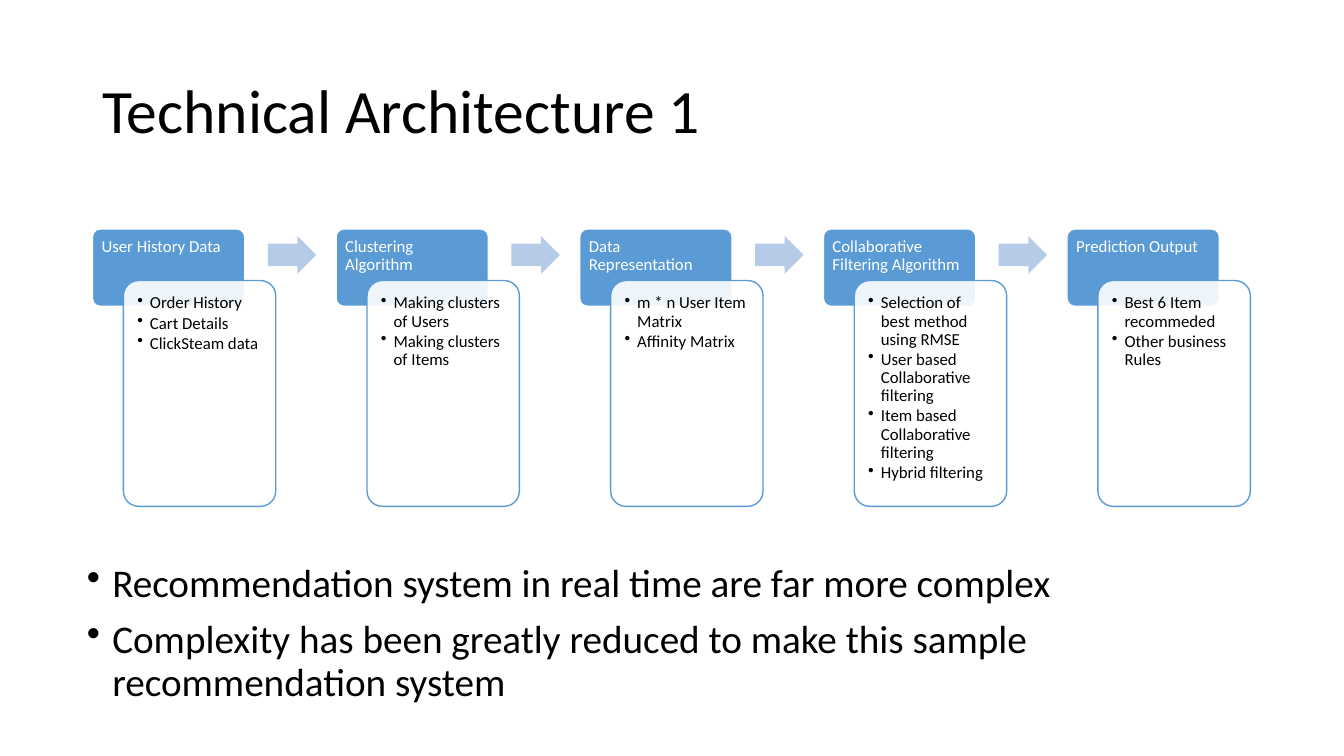
import dataclasses

import lxml.etree
import pptx
import pptx.dml.color
import pptx.enum.shapes
import pptx.enum.text
import pptx.oxml
import pptx.oxml.ns
import pptx.util

Cm = pptx.util.Cm
Pt = pptx.util.Pt
SHAPES = pptx.enum.shapes.MSO_SHAPE
ANCHORS = pptx.enum.text.MSO_ANCHOR


@dataclasses.dataclass(frozen=True)
class Theme:
    """Colours, font and type sizes of the slide."""
    font: str = "Calibri"
    ink: str = "000000"
    paper: str = "FFFFFF"
    accent: str = "5B9BD5"
    arrow: str = "B5CBE7"
    title_size: int = 44
    body_size: int = 28
    stage_size: int = 12


THEME = Theme()

STAGES = [
    ("User History Data", ["Order History", "Cart Details", "ClickSteam data"]),
    ("Clustering Algorithm", ["Making clusters of Users", "Making clusters of Items"]),
    ("Data Representation", ["m * n User Item Matrix", "Affinity Matrix"]),
    ("Collaborative Filtering Algorithm", [
        "Selection of best method using RMSE",
        "User based Collaborative filtering",
        "Item based Collaborative filtering",
        "Hybrid filtering",
    ]),
    ("Prediction Output", ["Best 6 Item recommeded", "Other business Rules"]),
]
REMARKS = [
    "Recommendation system in real time are far more complex",
    "Complexity has been greatly reduced to make this sample recommendation system",
]

# Stage geometry in centimetres
FLOW_LEFT, FLOW_TOP, STAGE_PITCH = 2.33, 5.77, 6.14
STAGE_WIDTH, HEADER_HEIGHT, HEADING_HEIGHT = 3.84, 1.95, 1.3
CARD_SHIFT, CARD_HEIGHT, CARD_MARGIN = 0.78, 5.69, 0.12
ARROW_SHIFT, ARROW_DROP, ARROW_WIDTH, ARROW_HEIGHT = 4.42, 0.18, 1.22, 0.95
STAGE_INSETS = (0.23, 0.23, 0.23, 0.13)


def rgb(code):
    """Turn a hex code into a colour."""
    return pptx.dml.color.RGBColor.from_string(code)


def add_bullet(para, indent):
    """Give a paragraph a round bullet with a hanging indent in centimetres."""
    properties = para._p.get_or_add_pPr()
    properties.set("marL", str(Cm(indent)))
    properties.set("indent", str(-Cm(indent)))
    bullet = lxml.etree.SubElement(properties, pptx.oxml.ns.qn("a:buChar"))
    bullet.set("char", "•")


def add_text(shapes, area, lines, size, color=THEME.ink, insets=(0.25, 0.13, 0.25, 0.13),
             anchor=ANCHORS.TOP, indent=None, before=0, after=0):
    """Add a text box with one paragraph per line, bulleted if indented."""
    box = shapes.add_textbox(*map(Cm, area))
    frame = box.text_frame
    frame.word_wrap = True
    frame.vertical_anchor = anchor
    (frame.margin_left, frame.margin_top,
     frame.margin_right, frame.margin_bottom) = map(Cm, insets)
    for index, line in enumerate(lines):
        para = frame.add_paragraph() if index else frame.paragraphs[0]
        para.line_spacing = 0.9
        para.space_before = Pt(before)
        para.space_after = Pt(after)
        if indent:
            add_bullet(para, indent)
        span = para.add_run()
        span.text = line
        span.font.name = THEME.font
        span.font.size = Pt(size)
        span.font.color.rgb = rgb(color)


def add_block(shapes, kind, area, adjustments, fill, line=None, opacity=100):
    """Add a filled preset shape, outlined only if a line colour is given."""
    block = shapes.add_shape(kind, *map(Cm, area))
    block.shadow.inherit = False
    for index, value in enumerate(adjustments):
        block.adjustments[index] = value
    block.fill.solid()
    block.fill.fore_color.rgb = rgb(fill)
    if opacity < 100:
        color = block._element.spPr.find(".//" + pptx.oxml.ns.qn("a:srgbClr"))
        alpha = lxml.etree.SubElement(color, pptx.oxml.ns.qn("a:alpha"))
        alpha.set("val", str(opacity * 1000))
    if line:
        block.line.color.rgb = rgb(line)
        block.line.width = Pt(1)
    else:
        block.line.fill.background()


def add_stage(shapes, left, heading, points):
    """Add a stage: a header with a card of bullet points overlapping it."""
    add_block(shapes, SHAPES.ROUNDED_RECTANGLE,
              (left, FLOW_TOP, STAGE_WIDTH, HEADER_HEIGHT),
              [0.1], THEME.accent, THEME.paper)
    add_text(shapes, (left, FLOW_TOP, STAGE_WIDTH, HEADING_HEIGHT), [heading],
             THEME.stage_size, THEME.paper, STAGE_INSETS)
    card_left, card_top = left + CARD_SHIFT, FLOW_TOP + HEADING_HEIGHT
    add_block(shapes, SHAPES.ROUNDED_RECTANGLE,
              (card_left, card_top, STAGE_WIDTH, CARD_HEIGHT),
              [0.1], THEME.paper, THEME.accent, opacity=90)
    add_text(shapes,
             (card_left + CARD_MARGIN, card_top + CARD_MARGIN,
              STAGE_WIDTH - 2 * CARD_MARGIN, CARD_HEIGHT - 2 * CARD_MARGIN),
             points, THEME.stage_size, insets=STAGE_INSETS, indent=0.32, after=1.5)


def add_flow(slide):
    """Add the row of stages joined by block arrows, as one group."""
    shapes = slide.shapes.add_group_shape().shapes
    for index, (heading, points) in enumerate(STAGES):
        left = FLOW_LEFT + index * STAGE_PITCH
        add_stage(shapes, left, heading, points)
        if index < len(STAGES) - 1:
            add_block(shapes, SHAPES.RIGHT_ARROW,
                      (left + ARROW_SHIFT, FLOW_TOP + ARROW_DROP, ARROW_WIDTH, ARROW_HEIGHT),
                      [0.6, 0.5], THEME.arrow)


def main():
    """Build the slide and save the deck."""
    deck = pptx.Presentation()
    deck.slide_width, deck.slide_height = Cm(33.87), Cm(19.05)
    page = deck.slides.add_slide(deck.slide_layouts[6])
    add_text(page.shapes, (2.33, 1.01, 29.21, 3.68), ["Technical Architecture 1"],
             THEME.title_size, anchor=ANCHORS.MIDDLE)
    add_flow(page)
    add_text(page.shapes, (1.94, 14.07, 29.21, 4.5), REMARKS,
             THEME.body_size, indent=0.64, before=10)
    deck.save("out.pptx")


main()
